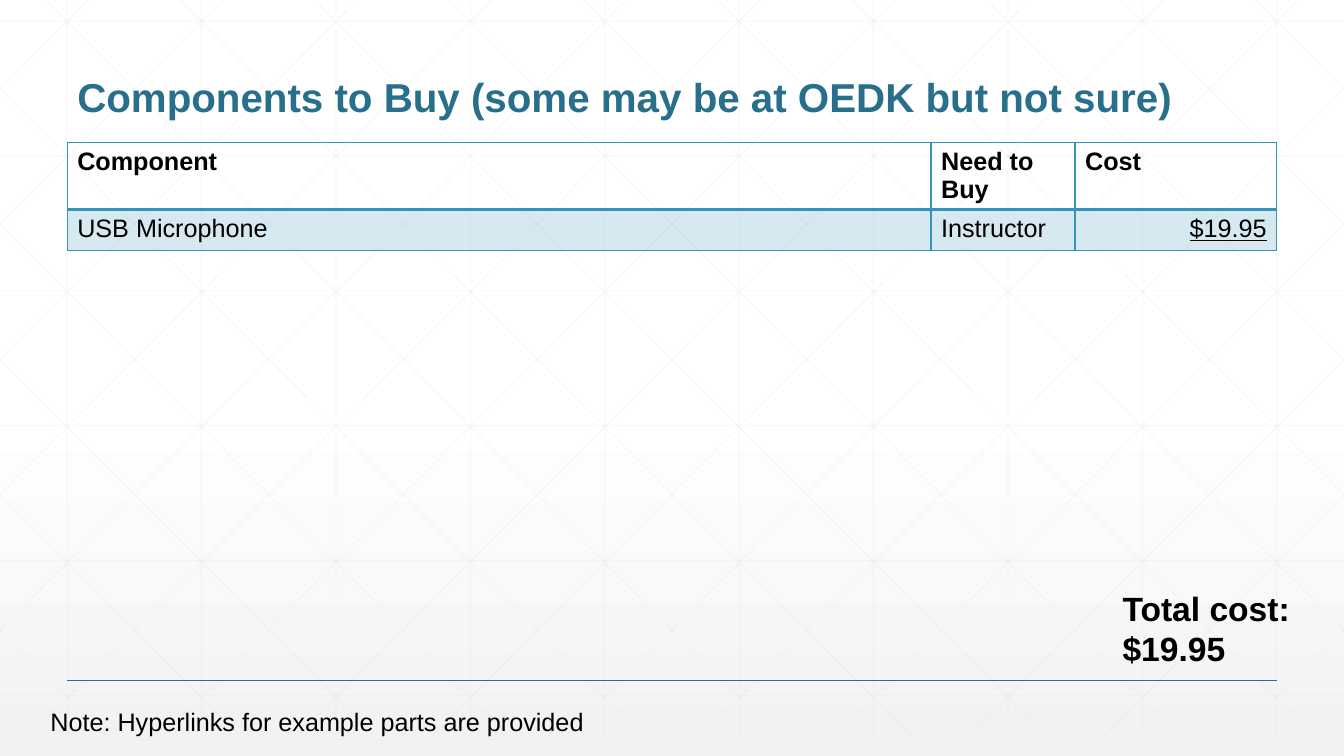
"""Build the components-to-buy slide with its table, total and note."""
from lxml.etree import SubElement
from pptx import Presentation
from pptx.dml.color import RGBColor
from pptx.enum.text import MSO_ANCHOR, PP_ALIGN
from pptx.oxml import parse_xml
from pptx.oxml.ns import nsdecls, qn
from pptx.util import Cm, Pt

TEAL = RGBColor(0x27, 0x6F, 0x8B)
BLUE = RGBColor(0x34, 0x94, 0xBA)
GRID = RGBColor(0xD9, 0xD9, 0xD9)
PALE = RGBColor(0xF2, 0xF2, 0xF2)
WHITE = RGBColor(255, 255, 255)
BLACK = RGBColor(0, 0, 0)

TITLE = "Components to Buy (some may be at OEDK but not sure)"
ROWS = [("Component", "Need to Buy", "Cost"),
        ("USB Microphone", "Instructor", "$19.95")]
COLS = (21.77, 3.63, 5.08)
HIGH = (1.69, 1.03)
BOXES = [
    ("Note: Hyperlinks for example parts are provided",
     (1.02, 17.68, 14.27, 1.02), {"size": Pt(18)}, False),
    ("Total cost: $19.95",
     (28.04, 14.68, 5.61, 2.31), {"size": Pt(24), "bold": True}, True),
]
WIDE, TALL = 33.87, 19.05
FOOT, STEP = 18.52, WIDE / 10
EDGE, SPAN = STEP / 2, WIDE - STEP
LEAN, RUN = 1.16, 18.41


def style(para, color=BLACK, **form):
    form = {"name": "Arial", "bold": False, **form}
    for key, val in form.items():
        setattr(para.font, key, val)
    para.font.color.rgb = color


def fade(node, part):
    tint = next(node.iter(qn("a:srgbClr")))
    SubElement(tint, qn("a:alpha")).set("val", str(part * 1000))


def draw(ends, color, width):
    line = slide.shapes.add_connector(1, *map(Cm, ends))
    line.line.color.rgb = color
    line.line.width = Pt(width)
    SubElement(line._element.spPr, qn("a:effectLst"))
    return line


def border(cell, sides):
    for at, (side, width) in enumerate(sides.items()):
        cell._tc.get_or_add_tcPr().insert(at, parse_xml(
            f'<a:ln{side} {nsdecls("a")} w="{Pt(width)}"><a:solidFill>'
            f'<a:srgbClr val="{BLUE}"/></a:solidFill></a:ln{side}>'))


def mesh():
    for i in range(10):
        x = EDGE + i * STEP
        yield x, 0, x, FOOT
    for i in range(6):
        y = 0.53 + i * 3.4
        yield 0, y, WIDE, y
    for i in range(-5, 10):
        x = LEAN + i * STEP
        left, right = max(x, 0), min(x + RUN, WIDE)
        top, low = ((end - x) * FOOT / RUN for end in (left, right))
        yield left, top, right, low
        yield WIDE - left, top, WIDE - right, low


deck = Presentation()
deck.slide_width, deck.slide_height = Cm(WIDE), Cm(TALL)
slide = deck.slides.add_slide(deck.slide_layouts[5])

back = slide.background.fill
back.gradient()
back.gradient_angle = 270
for stop, color, spot in zip(back.gradient_stops, (WHITE, PALE), (0.53, 1)):
    stop.color.rgb = color
    stop.position = spot

for ends in mesh():
    fade(draw(ends, GRID, 0.5)._element.spPr, 25)
draw((EDGE, 17.14, EDGE + SPAN, 17.14), TEAL, 1)

title = slide.shapes.title
title.element.getparent().append(title.element)
title.left, title.top, title.width, title.height = map(
    Cm, (EDGE, 0.64, SPAN, 2.54))
title.text_frame.text = TITLE
title.text_frame.vertical_anchor = MSO_ANCHOR.BOTTOM
head = title.text_frame.paragraphs[0]
head.alignment, head.line_spacing = PP_ALIGN.LEFT, 0.9
style(head, TEAL, size=Pt(28.8), bold=True)

table = slide.shapes.add_table(
    len(ROWS), len(COLS), *map(Cm, (EDGE, 3.59, SPAN, sum(HIGH)))).table
table.first_row = table.horz_banding = False
for col, width in zip(table.columns, COLS):
    col.width = Cm(width)
for r, (row, high) in enumerate(zip(ROWS, HIGH)):
    table.rows[r].height = Cm(high)
    for c, text in enumerate(row):
        cell = table.cell(r, c)
        cell.text = text
        para = cell.text_frame.paragraphs[0]
        cost = r > 0 and c == len(COLS) - 1
        style(para, size=Pt(18), bold=r == 0, underline=cost)
        if cost:
            para.alignment = PP_ALIGN.RIGHT
        if r:
            cell.fill.solid()
            cell.fill.fore_color.rgb = BLUE
            fade(cell._tc.tcPr, 20)
        else:
            cell.fill.background()
        border(cell, {"L": 1, "R": 1, "T": 2 if r else 1, "B": 1 if r else 2})

for text, place, form, wrap in BOXES:
    frame = slide.shapes.add_textbox(*map(Cm, place)).text_frame
    frame.word_wrap = wrap
    frame.text = text
    style(frame.paragraphs[0], **form)

deck.save("out.pptx")
